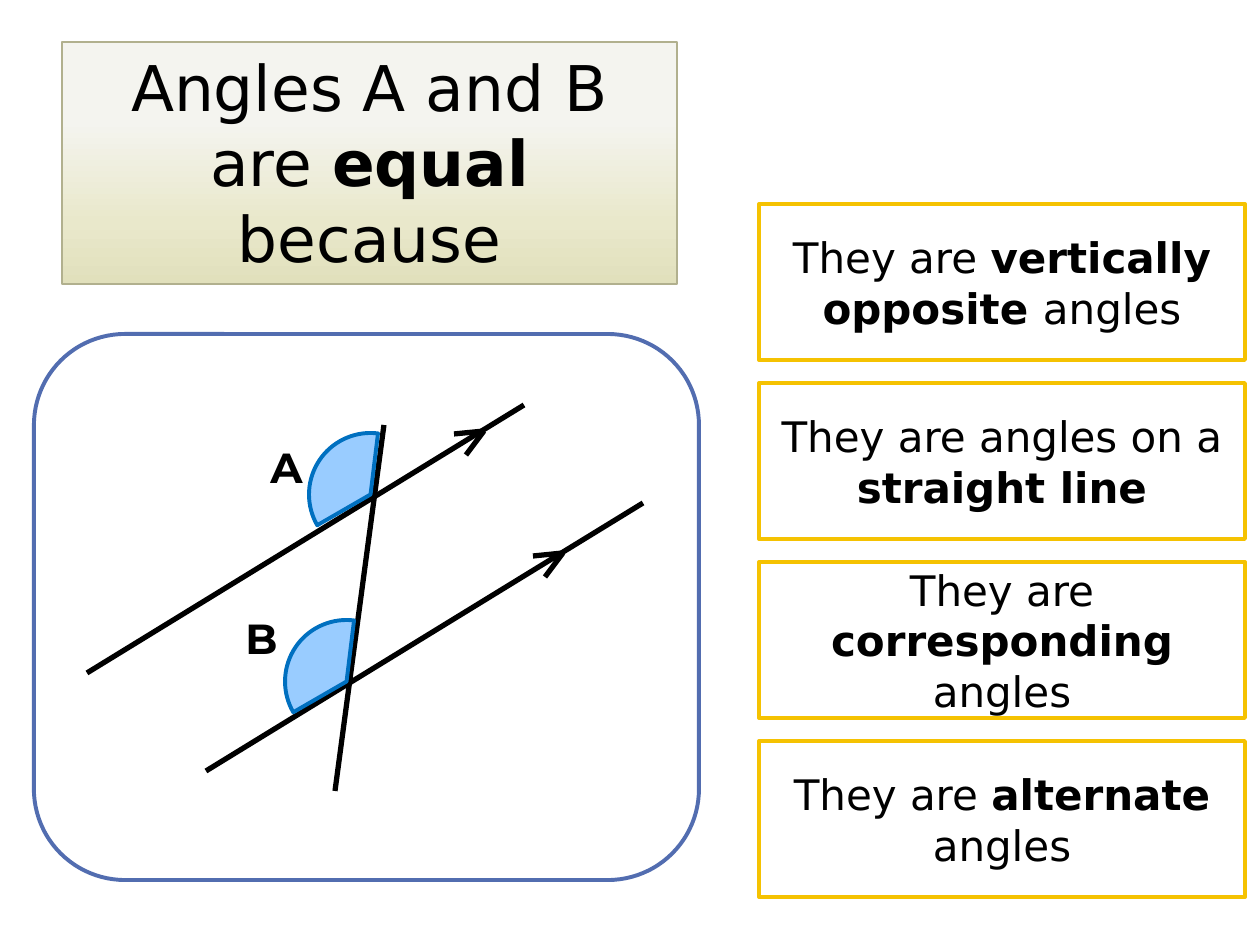
import copy
import pptx
import pptx.util
import pptx.dml.color
import pptx.enum.shapes
import pptx.enum.text
import pptx.oxml

PX = 914400 / 126
SHAPES = pptx.enum.shapes.MSO_SHAPE


def px(*lengths):
    return [pptx.util.Emu(round(length * PX)) for length in lengths]


def paint(color_format, value):
    color_format.rgb = pptx.dml.color.RGBColor.from_string(value)


deck = pptx.Presentation()
deck.slide_width, deck.slide_height = px(1260, 945)
slide = deck.slides.add_slide(deck.slide_layouts[5])
shapes = slide.shapes

question = shapes.title
question.left, question.top, question.width, question.height = px(62, 42, 615, 242)
question.fill.gradient()
question.fill.gradient_angle = 90
stops = question.fill.gradient_stops
stop_list = question.fill._fill._gradFill.gsLst
stop_list.append(copy.deepcopy(stop_list[-1]))
for stop, (position, tint) in zip(
    question.fill.gradient_stops, [(0, "E1E0BC"), (0.26, "E9E8CB"), (0.67, "F4F4EF")]
):
    stop.position = position
    paint(stop.color, tint)
paint(question.line.color, "B1B08E")
question.line.width = pptx.util.Pt(1)

panel = shapes.add_shape(SHAPES.ROUNDED_RECTANGLE, *px(34, 334, 665, 546))
panel.shadow.inherit = False
panel.fill.solid()
paint(panel.fill.fore_color, "FFFFFF")
paint(panel.line.color, "526DB0")
panel.line.width = pptx.util.Pt(2.25)

strokes = [(384, 425, 335, 791)]
for start_x, start_y, tip_x, tip_y in [(87, 673, 484, 431), (206, 771, 563, 553)]:
    strokes += [
        (start_x, start_y, start_x + 437, start_y - 268),
        (tip_x - 30, tip_y + 3, tip_x, tip_y),
        (tip_x, tip_y, tip_x - 18, tip_y + 24),
    ]
for stroke in strokes:
    line = shapes.add_connector(pptx.enum.shapes.MSO_CONNECTOR.STRAIGHT, *px(*stroke))
    paint(line.line.color, "000000")
    line.line.width = pptx.util.Pt(3)
    line._element.spPr.append(pptx.oxml.parse_xml(
        '<a:effectLst xmlns:a="http://schemas.openxmlformats.org/drawingml/2006/main"/>'
    ))

texts = [(question, 36, "DejaVu Sans", [
    ("Angles A and B are ", False), ("equal ", True), ("because", False)
])]

for letter, angle_x, angle_y, label_x, label_y in [
    ("A", 309, 433, 258, 435), ("B", 285, 620, 233, 606)
]:
    angle = shapes.add_shape(SHAPES.PIE, *px(angle_x, angle_y, 123, 123))
    angle.adjustments[0] = 0
    angle.adjustments[1] = 76.2
    angle.rotation = 150
    angle.shadow.inherit = False
    angle.fill.solid()
    paint(angle.fill.fore_color, "99CCFF")
    paint(angle.line.color, "0070C0")
    angle.line.width = pptx.util.Pt(2.25)
    label = shapes.add_textbox(*px(label_x, label_y, 49, 63))
    texts.append((label, 24, "Montserrat", [(letter, True)]))

reasons = [
    [("They are ", False), ("vertically opposite ", True), ("angles", False)],
    [("They are angles on a ", False), ("straight line", True)],
    [("They are ", False), ("corresponding", True), (" angles", False)],
    [("They are ", False), ("alternate ", True), ("angles", False)],
]
for row, reason in enumerate(reasons):
    answer = shapes.add_shape(SHAPES.RECTANGLE, *px(759, 204 + 179 * row, 486, 156))
    answer.shadow.inherit = False
    answer.fill.solid()
    paint(answer.fill.fore_color, "FFFFFF")
    paint(answer.line.color, "F5C201")
    answer.line.width = pptx.util.Pt(2.25)
    texts.append((answer, 24, "DejaVu Sans", reason))

for holder, size, typeface, runs in texts:
    frame = holder.text_frame
    frame.auto_size = pptx.enum.text.MSO_AUTO_SIZE.NONE
    frame.word_wrap = typeface == "DejaVu Sans"
    paragraph = frame.paragraphs[0]
    if typeface == "DejaVu Sans":
        paragraph.alignment = pptx.enum.text.PP_ALIGN.CENTER
    anchors = pptx.enum.text.MSO_ANCHOR
    frame.vertical_anchor = anchors.MIDDLE if holder.shape_type == 1 else anchors.TOP
    for words, bold in runs:
        run = paragraph.add_run()
        run.text = words
        run.font.name = typeface
        run.font.size = pptx.util.Pt(size)
        run.font.bold = bold
        paint(run.font.color, "000000")

deck.save("out.pptx")
